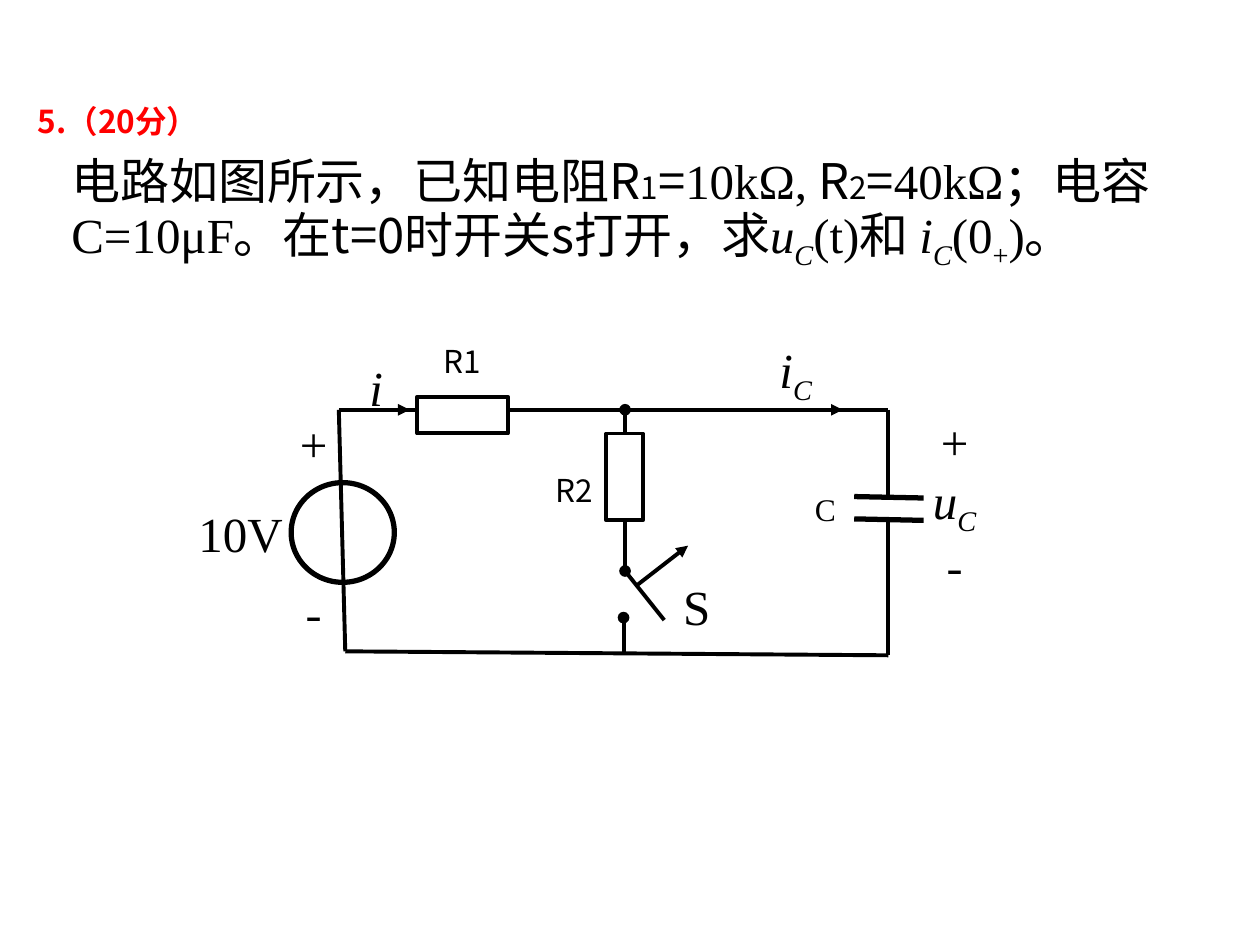
from lxml import etree
from pptx import Presentation
from pptx.dml.color import RGBColor
from pptx.enum.shapes import MSO_CONNECTOR, MSO_SHAPE
from pptx.enum.text import MSO_ANCHOR, MSO_AUTO_SIZE, PP_ALIGN
from pptx.oxml.ns import qn
from pptx.util import Cm, Pt

BLACK = RGBColor(0, 0, 0)
WHITE = RGBColor(255, 255, 255)
RED = RGBColor(255, 0, 0)
SANS, SERIF = "Noto Sans CJK SC", "Times New Roman"
STRAIGHT = MSO_CONNECTOR.STRAIGHT
OVAL, RECTANGLE = MSO_SHAPE.OVAL, MSO_SHAPE.RECTANGLE
LEFT, CENTER = PP_ALIGN.LEFT, PP_ALIGN.CENTER
TOP, MIDDLE = MSO_ANCHOR.TOP, MSO_ANCHOR.MIDDLE
NO_FIT = MSO_AUTO_SIZE.NONE

PLAIN = {"size": Pt(28), "name": SERIF, "bold": False, "italic": False}
GOTHIC = {"name": SANS}
SMALL = {"name": SANS, "size": Pt(18)}
ITALIC = {"italic": True}
SUB = {"baseline": -25000}
ITALIC_SUB = {**ITALIC, **SUB}


def add_span(para, text, look, color=BLACK):
    span = para.add_run()
    span.text = text
    values = {**PLAIN, **look}
    baseline = values.pop("baseline", None)
    for name, value in values.items():
        setattr(span.font, name, value)
    span.font.color.rgb = color
    properties = span.font._element
    etree.SubElement(properties, qn("a:ea")).set("typeface", SANS)
    if baseline:
        properties.set("baseline", str(baseline))


def set_frame(box, anchor, wrap):
    frame = box.text_frame
    values = {"auto_size": NO_FIT, "vertical_anchor": anchor, "word_wrap": wrap}
    for name, value in values.items():
        setattr(frame, name, value)
    return frame


def add_text(page, area, lines, anchor=MIDDLE, align=CENTER, wrap=False,
             spacing=None, gap=0):
    box = page.shapes.add_textbox(*map(Cm, area))
    frame = set_frame(box, anchor, wrap)
    for index, spans in enumerate(lines):
        para = frame.add_paragraph() if index else frame.paragraphs[0]
        para.alignment = align
        para.line_spacing = spacing
        if index and gap:
            para.space_before = Pt(gap)
        for text, look in spans:
            add_span(para, text, look)


def add_wire(page, start, end, width=2.25, head=None, tail=None):
    wire = page.shapes.add_connector(STRAIGHT, *map(Cm, (*start, *end)))
    wire.line.color.rgb = BLACK
    wire.line.width = Pt(width)
    outline = wire.line._get_or_add_ln()
    for tag, kind in (("a:headEnd", head), ("a:tailEnd", tail)):
        if kind:
            etree.SubElement(outline, qn(tag)).set("type", kind)
    etree.SubElement(wire._element.spPr, qn("a:effectLst"))


def add_part(page, kind, area, width=2.25, fill=None):
    part = page.shapes.add_shape(kind, *map(Cm, area))
    part.shadow.inherit = False
    part.line.color.rgb = BLACK
    part.line.width = Pt(width)
    if fill is None:
        part.fill.background()
    else:
        part.fill.solid()
        part.fill.fore_color.rgb = fill


def build_title(page, left, top, width, height):
    title = page.shapes.title
    values = {"left": left, "top": top, "width": width, "height": height}
    for name, value in values.items():
        setattr(title, name, Cm(value))
    para = set_frame(title, TOP, True).paragraphs[0]
    para.alignment = LEFT
    add_span(para, "5.（20分）", {**SMALL, "bold": True}, RED)


def build_question(page, *area):
    spans = [
        ("电路如图所示，已知电阻R", GOTHIC), ("1", SMALL), ("=", GOTHIC),
        ("10kΩ,", {}), (" R", GOTHIC), ("2", SMALL), ("=", GOTHIC),
        ("40kΩ；电容C=10μF。在", {}), ("t=0时开关s打开，求", GOTHIC),
        ("u", ITALIC), ("C", ITALIC_SUB), ("(t)和 ", {}),
        ("i", ITALIC), ("C", ITALIC_SUB), ("(0", {}), ("+", SUB), (")。", {}),
    ]
    add_text(page, area, [spans], TOP, LEFT, True, spacing=0.82)


def build_circuit(page, left, top):
    def at(x, y, *size):
        return (left + x, top + y, *size)

    rail, right, middle = 1.5, 14.18, 8.87
    node, contact = at(middle, 4.75), at(8.84, 5.69)
    corner, base = at(3.1, rail), at(3.23, 6.37)

    wires = [
        (corner, at(right, rail), {}),
        (corner, base, {}),
        (base, at(right, 6.45), {}),
        (at(right, rail), at(right, 3.3), {}),
        (at(right, 3.73), at(right, 6.45), {}),
        (node, at(middle, rail), {"head": "oval", "tail": "oval"}),
        (contact, at(8.84, 6.4), {"head": "oval"}),
        (node, at(9.66, 5.74), {}),
        (at(9.12, 5.03), at(10.14, 4.24), {"tail": "triangle"}),
        (at(3.2, rail), at(4.53, rail), {"tail": "triangle"}),
        (at(11.43, rail), at(13.26, rail), {"tail": "triangle"}),
    ]
    for plate in (3.25, 3.7):
        wires.append((at(13.49, plate), at(14.89, plate + 0.03), {"width": 3}))

    add_part(page, OVAL, at(2.14, 2.97, 2.08, 2.01), 3)
    for start, end, style in wires:
        add_wire(page, start, end, **style)
    add_part(page, RECTANGLE, at(4.68, 1.24, 1.83, 0.74), fill=WHITE)
    add_part(page, RECTANGLE, at(8.49, 1.98, 0.74, 1.75), fill=WHITE)

    labels = [
        (at(0, 3.35, 2.24, 1.27), [("10V", {})]),
        (at(3.46, 0.4, 0.79, 1.27), [("i", ITALIC)]),
        (at(11.69, 0.12, 1.24, 1.27), [("i", ITALIC), ("C", ITALIC_SUB)]),
        (at(9.78, 4.82, 1.07, 1.27), [("S", {})]),
        (at(4.93, 0, 1.32, 1.02), [("R1", SMALL)]),
        (at(7.19, 2.61, 1.32, 1.02), [("R2", SMALL)]),
        (at(12.35, 2.99, 1.12, 1.02), [("C", {"size": Pt(18)})]),
    ]
    for area, spans in labels:
        add_text(page, area, [spans])

    plus, minus = [("+", {})], [("-", GOTHIC)]
    voltage = [("u", ITALIC), ("C", ITALIC_SUB)]
    add_text(page, at(2.06, 1.37, 1.07, 5.05), [plus, minus], gap=64)
    add_text(page, at(14.51, 1.72, 2.01, 3.35), [plus, voltage, minus])


def main():
    deck = Presentation()
    deck.slide_width, deck.slide_height = Cm(25.4), Cm(19.05)
    page = deck.slides.add_slide(deck.slide_layouts[5])
    build_title(page, 0.51, 1.93, 12.7, 1.02)
    build_question(page, 1.19, 3.12, 23.01, 2.64)
    build_circuit(page, 3.73, 6.76)
    deck.save("out.pptx")


if __name__ == "__main__":
    main()
